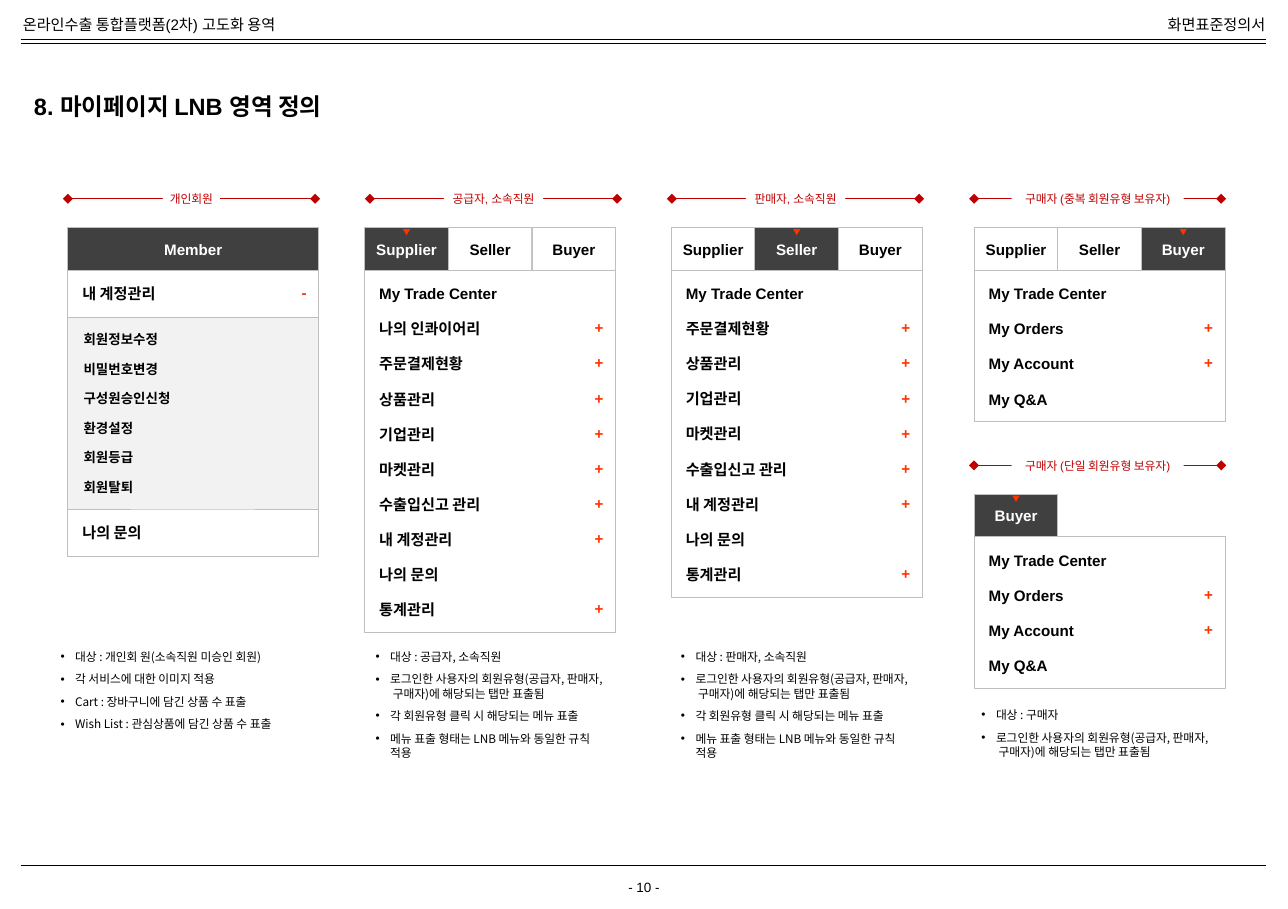
from dataclasses import dataclass

from lxml.etree import SubElement
from pptx import Presentation
from pptx.dml.color import RGBColor
from pptx.enum.shapes import MSO_CONNECTOR as Connector, MSO_SHAPE as Shape
from pptx.enum.text import MSO_ANCHOR as Anchor, MSO_AUTO_SIZE as AutoSize, PP_ALIGN as Align
from pptx.oxml.ns import qn
from pptx.util import Inches, Pt


@dataclass(frozen=True)
class Theme:
    latin: str = "Arial"
    korean: str = "Noto Sans CJK KR"
    black: str = "000000"
    white: str = "FFFFFF"
    dark: str = "404040"
    pale: str = "F2F2F2"
    border: str = "BFBFBF"
    accent: str = "FF3300"
    guide: str = "C00000"
    title: int = 14
    menu: int = 9
    submenu: int = 8
    note: int = 7
    leading: float = 1.2


THEME = Theme()
PANEL_LEFTS = (0.56, 3.01, 5.54, 8.04)
GUIDE_LEFT, GUIDE_PITCH, GUIDE_WIDTH = 0.56, 2.493, 2.04
PANEL_WIDTH, TAB_HEIGHT, ROW = 2.07, 0.35, 0.29
TAB_WIDTH = PANEL_WIDTH / 3
TAB_TOP, GUIDE_TOP = 1.88, 1.64
SECOND_DROP = 2.2
MENU_INSETS = (0.12, 0.12, 0.04, 0.12)

TABS = ("Supplier", "Seller", "Buyer")
SHARED_MENU = ["+주문결제현황", "+상품관리", "+기업관리", "+마켓관리", "+수출입신고 관리",
               "+내 계정관리", "나의 문의", "+통계관리"]
SUPPLIER_MENU = ["My Trade Center", "+나의 인콰이어리", *SHARED_MENU]
SELLER_MENU = ["My Trade Center", *SHARED_MENU]
BUYER_MENU = ["My Trade Center", "+My Orders", "+My Account", "My Q&A"]
MEMBER_SUBMENU = ["회원정보수정", "비밀번호변경", "구성원승인신청", "환경설정", "회원등급", "회원탈퇴"]

TAB_RULE = "로그인한 사용자의 회원유형(공급자, 판매자, 구매자)에 해당되는 탭만 표출됨"
MENU_RULES = [TAB_RULE, "각 회원유형 클릭 시 해당되는 메뉴 표출",
              "메뉴 표출 형태는 LNB 메뉴와 동일한 규칙 적용"]
NOTES = (
    (0.4, 5.31, 0.9, ["대상 : 개인회 원(소속직원 미승인 회원)", "각 서비스에 대한 이미지 적용",
                      "Cart : 장바구니에 담긴 상품 수 표출",
                      "Wish List : 관심상품에 담긴 상품 수 표출"]),
    (3.0, 5.31, 1.14, ["대상 : 공급자, 소속직원", *MENU_RULES]),
    (5.52, 5.31, 1.14, ["대상 : 판매자, 소속직원", *MENU_RULES]),
    (8.0, 5.79, 0.52, ["대상 : 구매자", TAB_RULE]),
)


def color(value):
    return RGBColor.from_string(value)


def place(shape, left, top, width, height):
    shape.left, shape.top = Inches(left), Inches(top)
    shape.width, shape.height = Inches(width), Inches(height)


def write(shape, lines, size, ink=THEME.black, bold=False, align=Align.LEFT, anchor=Anchor.TOP,
          insets=(0.1, 0.05, 0.1, 0.05), wrap=True, after=0, indent=0, bullet=False,
          latin=THEME.latin):
    """Fill a shape with one paragraph per line, all in one style."""
    frame = shape.text_frame
    frame.text = "\n".join(lines)
    frame.auto_size, frame.word_wrap, frame.vertical_anchor = AutoSize.NONE, wrap, anchor
    (frame.margin_left, frame.margin_top,
     frame.margin_right, frame.margin_bottom) = map(Inches, insets)
    for paragraph in frame.paragraphs:
        paragraph.alignment = align
        paragraph.line_spacing = Pt(size * THEME.leading)
        paragraph.space_before, paragraph.space_after = Pt(0), Pt(after)
        properties = paragraph._p.get_or_add_pPr()
        properties.set("marL", str(Inches(indent)))
        properties.set("indent", str(Inches(-indent if bullet else 0)))
        if bullet:
            SubElement(properties, qn("a:buChar"), char="•")
        for run in paragraph.runs:
            run.font.size, run.font.bold = Pt(size), bold
            run.font.color.rgb = color(ink)
            run.font.name = latin
            SubElement(run._r.get_or_add_rPr(), qn("a:ea"), typeface=THEME.korean)


def add_box(slide, box, fill, border=None, kind=Shape.RECTANGLE):
    shape = slide.shapes.add_shape(kind, *map(Inches, box))
    shape.shadow.inherit = False
    shape.fill.solid()
    shape.fill.fore_color.rgb = color(fill)
    if border:
        shape.line.color.rgb = color(border)
        shape.line.width = Pt(0.5)
    else:
        shape.line.fill.background()
    return shape


def add_text(slide, box, text, size, **style):
    write(slide.shapes.add_textbox(*map(Inches, box)), [text], size, **style)


def add_rule(slide, left, right, y, ink=THEME.black, weight=0.25, diamonds=False):
    rule = slide.shapes.add_connector(
        Connector.STRAIGHT, Inches(left), Inches(y), Inches(right), Inches(y))
    rule.line.color.rgb = color(ink)
    rule.line.width = Pt(weight)
    if diamonds:
        for end in ("a:headEnd", "a:tailEnd"):
            SubElement(rule.line._get_or_add_ln(), qn(end), type="diamond")
    SubElement(rule._element.spPr, qn("a:effectLst"))


def add_guide(slide, column, text, label_width, drop=0):
    """Draw a diamond-ended rule with its caption in the middle."""
    left, y = GUIDE_LEFT + column * GUIDE_PITCH, GUIDE_TOP + drop
    add_rule(slide, left, left + GUIDE_WIDTH, y, THEME.guide, 0.75, diamonds=True)
    label_left = left + (GUIDE_WIDTH - label_width) / 2
    label = add_box(slide, (label_left, y - 0.08, label_width, 0.16), THEME.white)
    write(label, [text], THEME.note, THEME.guide, align=Align.CENTER, anchor=Anchor.MIDDLE,
          insets=(0.04, 0.02, 0.04, 0.02), wrap=False)


def add_tab(slide, left, top, text, width=TAB_WIDTH, active=False, marker=False):
    tab = add_box(slide, (left, top, width, TAB_HEIGHT),
                  THEME.dark if active else THEME.white, THEME.border)
    write(tab, [text], THEME.menu, THEME.white if active else THEME.black, bold=True,
          align=Align.CENTER, anchor=Anchor.MIDDLE, insets=(0.08, 0.05, 0.08, 0.05))
    if marker:
        pointer = add_box(slide, (left + width / 2 - 0.03, top + 0.01, 0.06, 0.05),
                          THEME.accent, kind=Shape.ISOSCELES_TRIANGLE)
        pointer.rotation = 180


def add_sign(slide, left, panel_top, row, sign):
    box = (left + PANEL_WIDTH - 0.3, panel_top + 0.06 + row * ROW, 0.3, 0.25)
    add_text(slide, box, sign, THEME.menu, ink=THEME.accent, bold=True, align=Align.RIGHT)


def add_menu(slide, column, items, tabs, active, drop=0):
    """Draw a tabbed menu; items that start with + can be unfolded."""
    left, tab_top = PANEL_LEFTS[column], TAB_TOP + drop
    top = tab_top + TAB_HEIGHT
    panel = add_box(slide, (left, top, PANEL_WIDTH, len(items) * ROW + 0.09),
                    THEME.white, THEME.border)
    write(panel, [item.lstrip("+") for item in items], THEME.menu, bold=True,
          insets=MENU_INSETS, after=10)
    for row, item in enumerate(items):
        if item.startswith("+"):
            add_sign(slide, left, top, row, "+")
    for index, text in enumerate(tabs):
        add_tab(slide, left + index * TAB_WIDTH, tab_top, text,
                active=text == active, marker=text == active)


def add_member_menu(slide):
    left, top = PANEL_LEFTS[0], TAB_TOP + TAB_HEIGHT
    add_tab(slide, left, TAB_TOP, "Member", PANEL_WIDTH, active=True)
    panel = add_box(slide, (left, top, PANEL_WIDTH, 2.36), THEME.white, THEME.border)
    write(panel, ["내 계정관리"], THEME.menu, bold=True, insets=MENU_INSETS)
    add_sign(slide, left, top, 0, "-")
    submenu = add_box(slide, (left, top + 0.39, PANEL_WIDTH, 1.58), THEME.pale, THEME.border)
    write(submenu, MEMBER_SUBMENU, THEME.submenu, bold=True,
          insets=(0.04, 0.11, 0.04, 0.11), after=8, indent=0.09)
    add_text(slide, (left, top + 1.97, PANEL_WIDTH, 0.39), "나의 문의", THEME.menu,
             bold=True, insets=MENU_INSETS)


def add_page_frame(slide):
    for y in (0.32, 0.36, 7.14):
        add_rule(slide, 0.17, 10.45, y)
    add_text(slide, (0.09, 0.08, 2.5, 0.25), "온라인수출 통합플랫폼(2차) 고도화 용역",
             THEME.menu, wrap=False)
    add_text(slide, (9.45, 0.08, 1.09, 0.25), "화면표준정의서", THEME.menu,
             align=Align.RIGHT, wrap=False)
    add_text(slide, (4.97, 7.2, 0.69, 0.24), "- 10 -", THEME.submenu, align=Align.CENTER)


def fill_placeholders(slide):
    title, *bodies = slide.placeholders
    place(title, 0.23, 0.68, 3.63, 0.39)
    write(title, ["8. 마이페이지 LNB 영역 정의"], THEME.title, bold=True, anchor=Anchor.MIDDLE,
          insets=(0.05, 0.08, 0.05, 0.08))
    for body, (left, top, height, lines) in zip(bodies, NOTES):
        place(body, left, top, PANEL_WIDTH, height)
        write(body, lines, THEME.note, after=5, indent=0.12, bullet=True, latin=THEME.korean)


def main():
    presentation = Presentation()
    presentation.slide_width, presentation.slide_height = Inches(10.63), Inches(7.5)
    comparison_layout = presentation.slide_layouts[4]
    slide = presentation.slides.add_slide(comparison_layout)
    add_page_frame(slide)
    fill_placeholders(slide)
    add_guide(slide, 0, "개인회원", 0.47)
    add_guide(slide, 1, "공급자, 소속직원", 0.82)
    add_guide(slide, 2, "판매자, 소속직원", 0.82)
    add_guide(slide, 3, "구매자 (중복 회원유형 보유자)", 1.42)
    add_guide(slide, 3, "구매자 (단일 회원유형 보유자)", 1.42, SECOND_DROP)
    add_member_menu(slide)
    add_menu(slide, 1, SUPPLIER_MENU, TABS, "Supplier")
    add_menu(slide, 2, SELLER_MENU, TABS, "Seller")
    add_menu(slide, 3, BUYER_MENU, TABS, "Buyer")
    add_menu(slide, 3, BUYER_MENU, ["Buyer"], "Buyer", SECOND_DROP)
    presentation.save("out.pptx")


if __name__ == "__main__":
    main()
